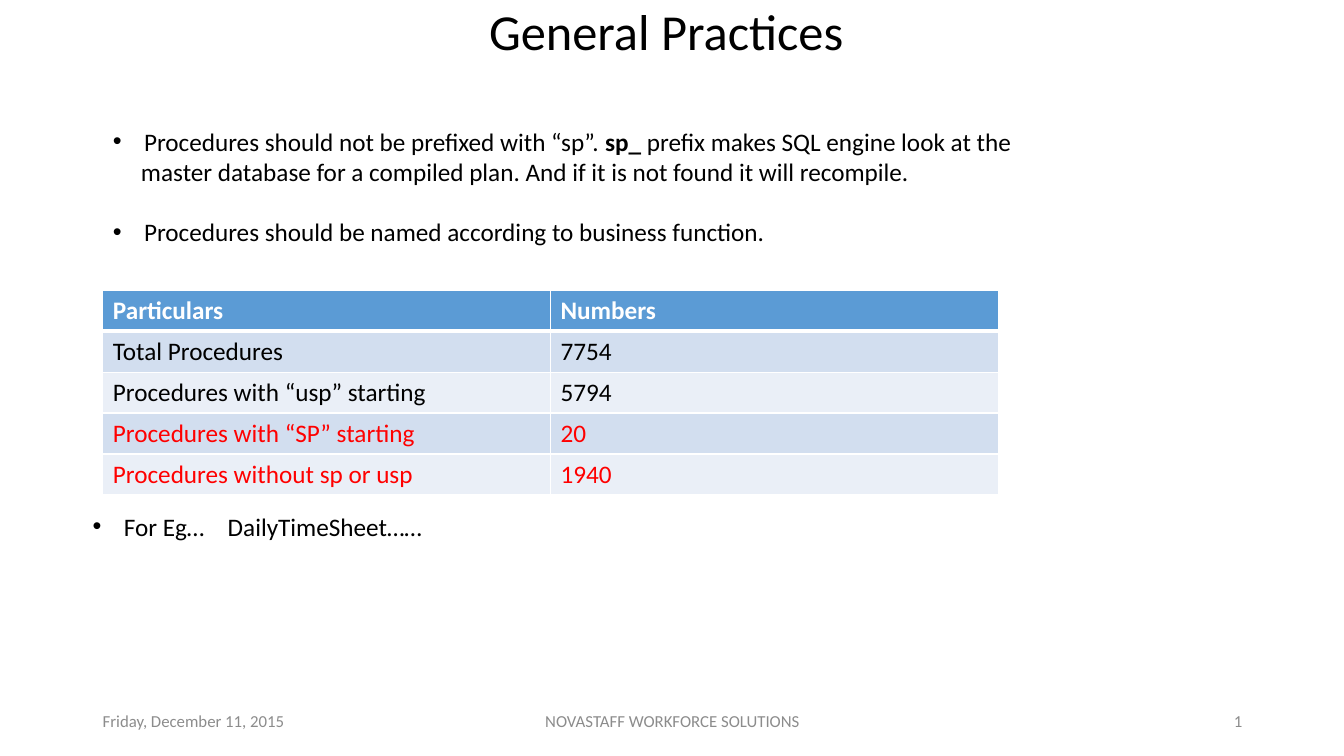
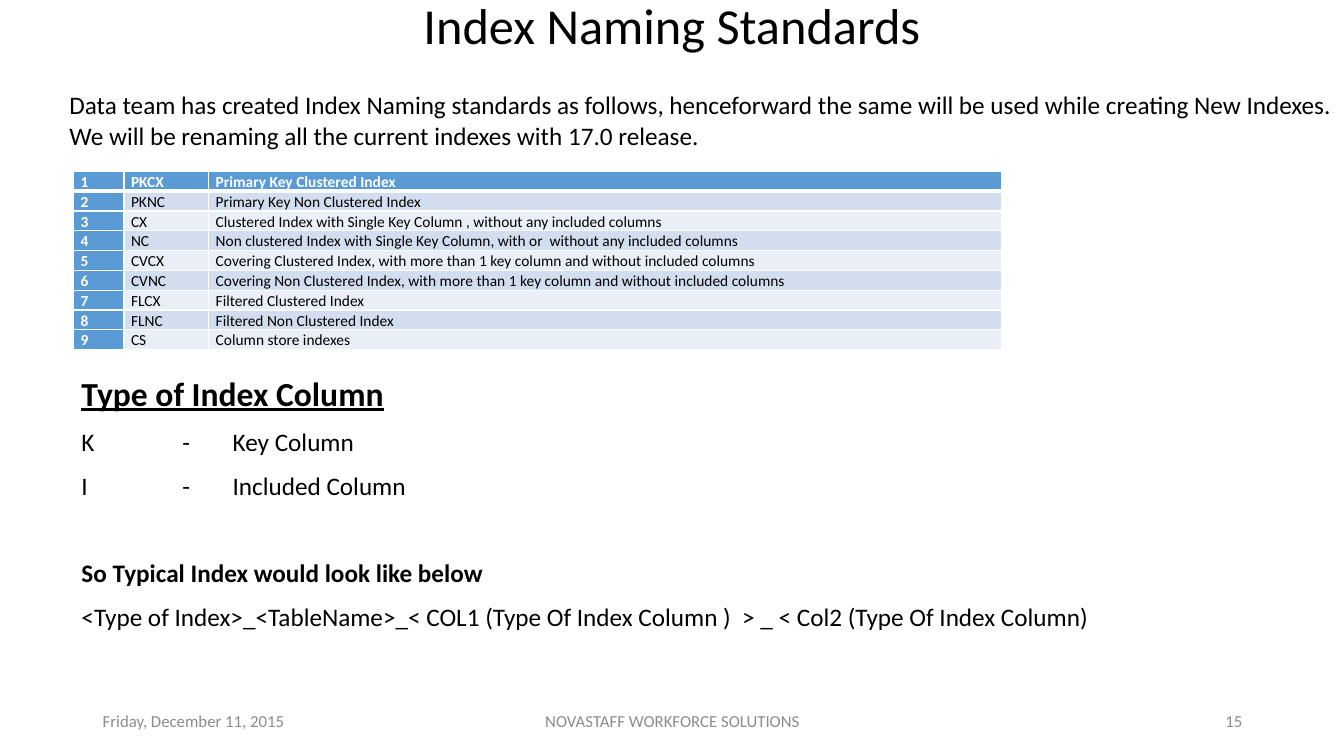
from dataclasses import dataclass

from lxml import etree
from pptx import Presentation
from pptx import util as u
from pptx.dml.color import RGBColor
from pptx.enum import text
from pptx.oxml import ns


@dataclass(frozen=True)
class Theme:
    font: str = "Calibri"
    ink: str = "000000"
    paper: str = "FFFFFF"
    muted: str = "8C8C8C"
    alert: str = "FF0000"
    header: str = "5B9BD5"
    bands: tuple = ("D2DEEF", "EAEFF7")
    title_size: float = 36
    heading_size: float = 24
    body_size: float = 18
    footer_size: float = 12
    small_size: float = 11


@dataclass
class Line:
    spans: tuple
    bold: bool = False
    underline: bool = False
    size: float = Theme.body_size
    color: str = Theme.ink
    align: text.PP_ALIGN = text.PP_ALIGN.LEFT
    spacing: float = 1.0
    before: float = 0
    after: float = 0
    bullet: bool = False
    indent: float = 0
    tab: float = 0


def add_xml(parent, tag, **attributes):
    return etree.SubElement(parent, ns.qn(tag), **attributes)


class SlideBuilder:
    DATE = "Friday, December 11, 2015"
    COMPANY = "NOVASTAFF WORKFORCE SOLUTIONS"

    def __init__(self, deck, theme):
        self.deck = deck
        self.theme = theme
        self.page = None

    def start(self, title, title_height, number):
        self.page = self.deck.slides.add_slide(self.deck.slide_layouts[5])
        box = self.page.shapes.title
        box.left = box.top = u.Inches(0)
        box.width, box.height = self.deck.slide_width, u.Inches(title_height)
        frame = box.text_frame
        frame.auto_size = text.MSO_AUTO_SIZE.NONE
        frame.vertical_anchor = text.MSO_ANCHOR.BOTTOM
        self.fill_para(frame.paragraphs[0], Line(
            (title,), size=self.theme.title_size,
            align=text.PP_ALIGN.CENTER, spacing=0.9))
        self.footer(number)

    def footer(self, number):
        for left, width, words, align in (
            (0.92, 3, self.DATE, text.PP_ALIGN.LEFT),
            (4.42, 4.5, self.COMPANY, text.PP_ALIGN.CENTER),
            (9.42, 3, str(number), text.PP_ALIGN.RIGHT),
        ):
            line = Line((words,), size=self.theme.footer_size,
                        color=self.theme.muted, align=align)
            self.text_box((left, 6.95, width, 0.4), [line], text.MSO_ANCHOR.MIDDLE)

    def text_box(self, place, lines, anchor=text.MSO_ANCHOR.TOP):
        box = self.page.shapes.add_textbox(*map(u.Inches, place))
        frame = box.text_frame
        frame.word_wrap = True
        frame.vertical_anchor = anchor
        for index, line in enumerate(lines):
            para = frame.add_paragraph() if index else frame.paragraphs[0]
            self.fill_para(para, line)

    def fill_para(self, para, line):
        para.alignment = line.align
        para.line_spacing = line.spacing
        para.space_before = u.Pt(line.before)
        para.space_after = u.Pt(line.after)
        for index, words in enumerate(line.spans):
            span = para.add_run()
            span.text = words
            font = span.font
            font.name = self.theme.font
            font.size = u.Pt(line.size)
            font.bold = line.bold or index % 2 == 1
            font.underline = line.underline
            font.color.rgb = RGBColor.from_string(line.color)
        properties = para._p.get_or_add_pPr()
        if line.indent:
            properties.set("marL", str(u.Inches(line.indent)))
        if line.bullet:
            properties.set("indent", str(-u.Inches(line.indent)))
            add_xml(properties, "a:buFont", typeface="Arial")
            add_xml(properties, "a:buChar", char="•")
        if line.tab:
            stops = add_xml(properties, "a:tabLst")
            add_xml(stops, "a:tab", pos=str(u.Inches(line.tab)), algn="l")

    def table(self, place, widths, rows, size, spacing=1.0,
              margins=(0.1, 0.05), head_column=False, alert_from=None):
        theme = self.theme
        frame = self.page.shapes.add_table(
            len(rows), len(widths), *map(u.Inches, place))
        grid = frame.table
        grid.first_col = head_column
        for column, width in zip(grid.columns, widths):
            column.width = u.Inches(width)
        for r, row in enumerate(rows):
            alert = alert_from is not None and r >= alert_from
            for c, words in enumerate(row):
                head = r == 0 or (head_column and c == 0)
                cell = grid.cell(r, c)
                cell.margin_left = cell.margin_right = u.Inches(margins[0])
                cell.margin_top = cell.margin_bottom = u.Inches(margins[1])
                self.borders(cell, 3 if r == 0 else 1, 3 if r == 1 else 1)
                cell.fill.solid()
                cell.fill.fore_color.rgb = RGBColor.from_string(
                    theme.header if head else theme.bands[(r - 1) % 2])
                color = theme.paper if head else theme.alert if alert else theme.ink
                self.fill_para(cell.text_frame.paragraphs[0], Line(
                    (words,), bold=head, size=size, color=color, spacing=spacing))

    def borders(self, cell, bottom, top):
        properties = cell._tc.get_or_add_tcPr()
        for side, width in (("L", 1), ("R", 1), ("T", top), ("B", bottom)):
            edge = add_xml(properties, "a:ln" + side, w=str(u.Pt(width)))
            fill = add_xml(edge, "a:solidFill")
            add_xml(fill, "a:srgbClr", val=self.theme.paper)


def general_practices(builder):
    theme = builder.theme
    builder.start("General Practices ", 0.66, 1)
    builder.table((1.02, 2.88, 8.88, 2.03), (4.44, 4.44), (
        ("Particulars", "Numbers"),
        ("Total Procedures", "7754"),
        ("Procedures with “usp” starting", "5794"),
        ("Procedures with “SP” starting", "20"),
        ("Procedures without sp or usp", "1940"),
    ), theme.body_size, alert_from=3)
    builder.text_box((1.02, 1.2, 9.35, 1.31), [
        Line(("Procedures should not be prefixed with “sp”. ", "sp_",
              " prefix makes SQL engine look at the"), bullet=True, indent=0.31),
        Line(("master database for a compiled plan. And if it is not found "
              "it will recompile.",), indent=0.28, after=21.5),
        Line(("Procedures should be named according to business function.",),
             bullet=True, indent=0.31),
    ])
    builder.text_box((0.82, 5.02, 3.52, 0.4), [
        Line(("For Eg…\tDailyTimeSheet……",), bullet=True, indent=0.31, tab=1.34),
    ])


def index_naming(builder):
    theme = builder.theme
    builder.start("Index Naming Standards", 0.6, 15)
    builder.text_box((0.59, 0.84, 12.74, 0.71), [
        Line(("Data team has created Index Naming standards as follows, "
              "henceforward the same will be used while creating New Indexes.",)),
        Line(("We will be renaming all the current indexes with 17.0 release.",)),
    ])
    kinds = (
        ("PKCX", "Primary Key Clustered Index"),
        ("PKNC", "Primary Key Non Clustered Index"),
        ("CX", "Clustered Index with Single Key Column , without any included columns"),
        ("NC", "Non clustered Index with Single Key Column, with or  without any "
               "included columns"),
        ("CVCX", "Covering Clustered Index, with more than 1 key column and "
                 "without included columns"),
        ("CVNC", "Covering Non Clustered Index, with more than 1 key column and "
                 "without included columns"),
        ("FLCX", "Filtered Clustered Index"),
        ("FLNC", "Filtered Non Clustered Index"),
        ("CS", "Column store indexes"),
    )
    rows = [(str(number), *kind) for number, kind in enumerate(kinds, 1)]
    builder.table((0.73, 1.7, 9.2, 1.77), (0.5, 0.84, 7.86), rows,
                  theme.small_size, spacing=1.07, margins=(0.07, 0),
                  head_column=True)
    loose = {"spacing": 1.07, "after": 8}
    builder.text_box((0.71, 3.62, 10.46, 2.71), [
        Line(("Type of Index Column",), bold=True, underline=True,
             size=theme.heading_size, **loose),
        Line(("K\t\t-\tKey Column",), **loose),
        Line(("I\t\t-\tIncluded Column",), **loose),
        Line(("So Typical Index would look like below",), bold=True,
             before=31.5, **loose),
        Line(("<Type of Index>_<TableName>_< COL1 (Type Of Index Column )  > _ "
              "< Col2 (Type Of Index Column)",), **loose),
    ])


def main():
    deck = Presentation()
    deck.slide_width, deck.slide_height = u.Inches(13.33), u.Inches(7.5)
    builder = SlideBuilder(deck, Theme())
    general_practices(builder)
    index_naming(builder)
    deck.save("out.pptx")


if __name__ == "__main__":
    main()
